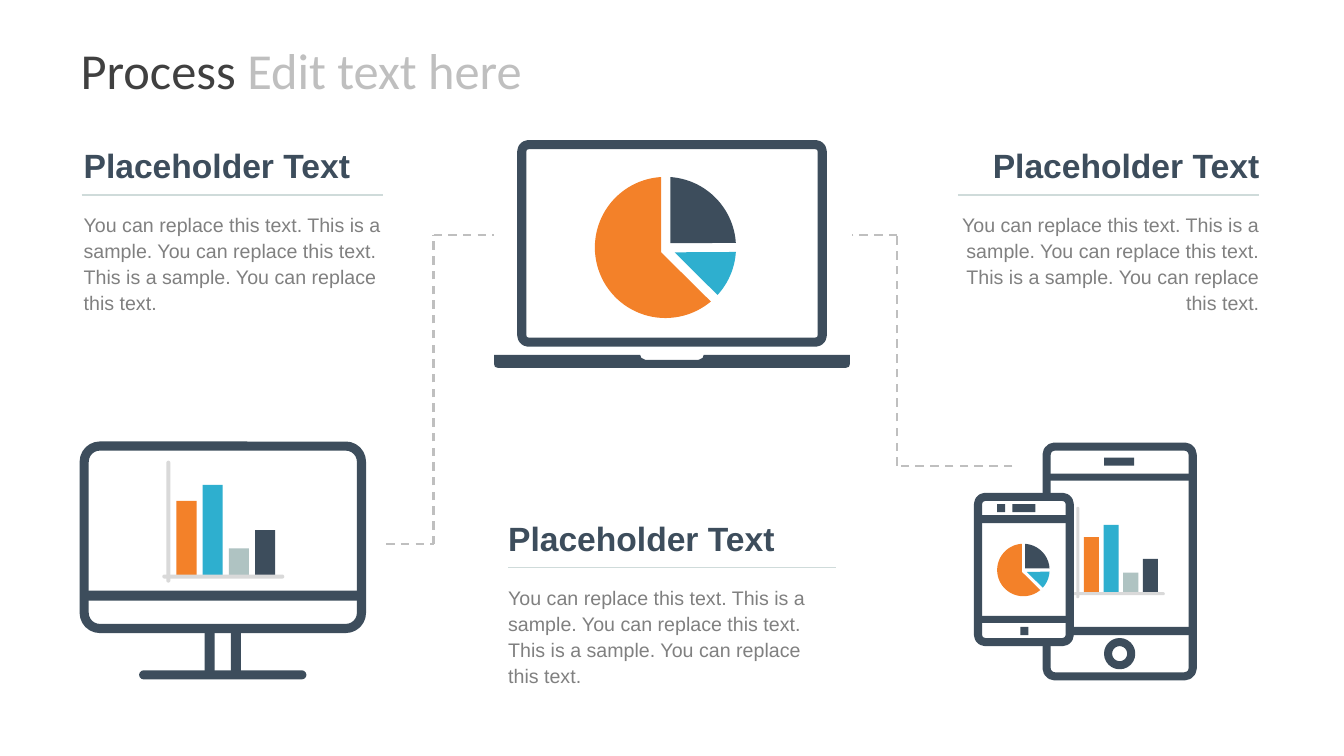
from itertools import pairwise
from math import cos, radians, sin

from lxml import etree
from pptx import Presentation
from pptx.dml.color import RGBColor
from pptx.enum.dml import MSO_LINE
from pptx.enum.shapes import MSO_CONNECTOR, MSO_SHAPE
from pptx.enum.text import MSO_ANCHOR, MSO_AUTO_SIZE, PP_ALIGN
from pptx.oxml.ns import qn
from pptx.util import Inches, Pt

RECTANGLE, ROUNDED, OVAL = MSO_SHAPE.RECTANGLE, MSO_SHAPE.ROUNDED_RECTANGLE, MSO_SHAPE.OVAL
STRAIGHT, DASH = MSO_CONNECTOR.STRAIGHT, MSO_LINE.DASH
LEFT, RIGHT = PP_ALIGN.LEFT, PP_ALIGN.RIGHT
TOP, MIDDLE = MSO_ANCHOR.TOP, MSO_ANCHOR.MIDDLE
NO_AUTOFIT = MSO_AUTO_SIZE.NONE

WHITE = RGBColor(0xFF, 0xFF, 0xFF)
SLATE = RGBColor(0x3D, 0x4D, 0x5C)
ORANGE = RGBColor(0xF3, 0x81, 0x29)
BLUE = RGBColor(0x2E, 0xAF, 0xCF)
SAGE = RGBColor(0xAF, 0xC3, 0xC2)
RULE = RGBColor(0xCF, 0xDB, 0xDA)
AXIS = RGBColor(0xD9, 0xD9, 0xD9)
SILVER = RGBColor(0xBF, 0xBF, 0xBF)
GREY = RGBColor(0x80, 0x80, 0x80)
CHARCOAL = RGBColor(0x40, 0x40, 0x40)

# Content
TITLE = [("Process ", CHARCOAL), ("Edit text here", SILVER)]
HEADING = "Placeholder Text"
BODY = ("You can replace this text. This is a sample. You can replace this text. "
        "This is a sample. You can replace this text.")
HEADING_FONT = {"size": Pt(24), "name": "Arial", "bold": True}
BODY_FONT = {"size": Pt(14), "name": "Arial"}

# Text blocks: left, top, width, rule left, rule width, alignment
TEXT_BLOCKS = [
    (0.83, 1.39, 3, 0.81, 2.99, LEFT),
    (5.04, 5.09, 3.26, 5.04, 3.25, LEFT),
    (9.49, 1.39, 3, 9.5, 2.99, RIGHT),
]
ROUTES = [
    [(3.83, 5.4), (4.3, 5.4), (4.3, 2.33), (4.9, 2.33)],
    [(10.04, 4.62), (8.9, 4.62), (8.9, 2.33), (8.45, 2.33)],
]

# Device frames: left, top, width, height, border, corner radius
MONITOR = (0.79, 4.38, 2.84, 1.9, 0.09, 0.2)
LAPTOP = (5.13, 1.39, 3.07, 2.05, 0.09, 0.11)
TABLET = (10.34, 4.39, 1.53, 2.36, 0.08, 0.12)
PHONE = (9.66, 4.89, 0.99, 1.52, 0.08, 0.11)

# Solid details of each device: left, top, width, height
MONITOR_PARTS = [(0.84, 5.86, 2.74, 0.1), (2.03, 6.24, 0.1, 0.44), (2.29, 6.24, 0.1, 0.44)]
MONITOR_FOOT = (1.38, 6.65, 1.66, 0.09)
TABLET_PARTS = [(10.38, 4.7, 1.45, 0.07), (10.38, 6.22, 1.45, 0.08), (10.95, 4.54, 0.3, 0.08)]
TABLET_BUTTON = (10.95, 6.33, 0.31, 0.31)
PHONE_PARTS = [(9.7, 5.11, 0.91, 0.08), (9.7, 6.11, 0.91, 0.07), (10.04, 5, 0.23, 0.08),
               (9.89, 5, 0.08, 0.08), (10.12, 6.22, 0.08, 0.08)]
LAPTOP_BASE = [(4.9, 3.52), (6.35, 3.52), (6.36, 3.55), (6.4, 3.57), (6.93, 3.57),
               (6.97, 3.55), (6.98, 3.52), (8.43, 3.52), (8.43, 3.61), (8.42, 3.64),
               (8.39, 3.65), (4.94, 3.65), (4.91, 3.64), (4.9, 3.61)]

# Bar icon: heights at full scale; pie icon: corner in radii, arc in degrees
BARS = [(0.75, ORANGE), (0.91, BLUE), (0.28, SAGE), (0.46, SLATE)]
WEDGES = [
    ((0.07, -0.06), 3.7, 86, SLATE),
    ((0.13, 0.07), -42.4, -3.7, BLUE),
    ((-0.06, 0.07), 93.5, 310, ORANGE),
]


def paint(shape, color):
    shape.shadow.inherit = False
    shape.fill.solid()
    shape.fill.fore_color.rgb = color
    shape.line.fill.background()
    return shape


def add_solid(kind, box, color=SLATE):
    return paint(slide.shapes.add_shape(kind, *map(Inches, box)), color)


def add_bar(box, color):
    add_solid(ROUNDED, box, color).adjustments[0] = 0.5


def add_outline(points, color):
    corners = [(Inches(x), Inches(y)) for x, y in points]
    builder = slide.shapes.build_freeform(*corners[0])
    builder.add_line_segments(corners[1:], close=True)
    paint(builder.convert_to_shape(), color)


def add_frame(left, top, width, height, border, radius=None):
    """Draw a white shape whose border lies inside the given box."""
    width, height = width - border, height - border
    box = (left + border / 2, top + border / 2, width, height)
    frame = add_solid(ROUNDED if radius else OVAL, box, WHITE)
    if radius:
        frame.adjustments[0] = (radius - border / 2) / min(width, height)
    frame.line.color.rgb = SLATE
    frame.line.width = Inches(border)


def add_line(start, end, color, width, dash=None):
    line = slide.shapes.add_connector(STRAIGHT, *map(Inches, (*start, *end)))
    line.line.color.rgb = color
    line.line.width = Pt(width)
    line.line.dash_style = dash
    etree.SubElement(line._element.spPr, qn("a:effectLst"))


def add_text(box, text, font, color, alignment, inset=0, spacing=1):
    frame = slide.shapes.add_textbox(*map(Inches, box)).text_frame
    settings = {"word_wrap": True, "auto_size": NO_AUTOFIT, "vertical_anchor": TOP,
                "margin_left": 0, "margin_right": 0,
                "margin_top": Inches(inset), "margin_bottom": Inches(inset)}
    for name, value in settings.items():
        setattr(frame, name, value)
    paragraph = frame.paragraphs[0]
    paragraph.text = text
    paragraph.alignment = alignment
    paragraph.line_spacing = spacing
    for name, value in font.items():
        setattr(paragraph.font, name, value)
    paragraph.font.color.rgb = color


def add_bar_icon(left, base, scale):
    for index, (height, color) in enumerate(BARS):
        box = (left + 0.26 * index * scale, base - height * scale, 0.2 * scale, height * scale)
        add_solid(RECTANGLE, box, color)
    length, thickness = 1.21 * scale, 0.04 * scale
    add_bar((left - 0.1 * scale, base - 1.15 * scale, thickness, length), AXIS)
    add_bar((left - 0.14 * scale, base - 0.02 * scale, length, thickness), AXIS)


def add_pie_icon(center_x, center_y, radius):
    steps = 60
    for corner, start, end, color in WEDGES:
        angles = [radians(start + (end - start) * step / steps) for step in range(steps + 1)]
        points = [corner] + [(cos(angle), -sin(angle)) for angle in angles]
        add_outline([(center_x + radius * x, center_y + radius * y) for x, y in points], color)


presentation = Presentation()
presentation.slide_width, presentation.slide_height = Inches(13.33), Inches(7.5)
slide = presentation.slides.add_slide(presentation.slide_layouts[5])

# Title
title = slide.shapes.title
title.left, title.top, title.width, title.height = map(Inches, (0.67, 0.3, 12, 0.78))
title_settings = {"auto_size": NO_AUTOFIT, "vertical_anchor": MIDDLE,
                  "margin_left": Inches(0.13), "margin_right": Inches(0.13),
                  "margin_top": Inches(0.07), "margin_bottom": Inches(0.07)}
for name, value in title_settings.items():
    setattr(title.text_frame, name, value)
title_paragraph = title.text_frame.paragraphs[0]
title_paragraph.alignment = LEFT
for text, color in TITLE:
    run = title_paragraph.add_run()
    run.text = text
    run.font.size, run.font.name = Pt(36), "Calibri"
    run.font.color.rgb = color

# Dashed routes between devices
for route in ROUTES:
    for start, end in pairwise(route):
        add_line(start, end, SILVER, 1.5, DASH)

# Laptop
add_frame(*LAPTOP)
add_outline(LAPTOP_BASE, SLATE)
add_pie_icon(6.6, 2.455, 0.7)

# Monitor
add_frame(*MONITOR)
for part in MONITOR_PARTS:
    add_solid(RECTANGLE, part)
add_bar(MONITOR_FOOT, SLATE)
add_bar_icon(1.75, 5.72, 1)

# Tablet, with the phone in front of it
add_frame(*TABLET)
add_frame(*TABLET_BUTTON, 0.08)
add_bar_icon(10.75, 5.89, 0.75)
for frame, parts in [(None, TABLET_PARTS), (PHONE, PHONE_PARTS)]:
    if frame:
        add_frame(*frame)
    for part in parts:
        add_solid(RECTANGLE, part)
add_pie_icon(10.15, 5.655, 0.26)

# Text blocks
for left, top, width, rule_left, rule_width, alignment in TEXT_BLOCKS:
    add_text((left, top + 0.7, width, 1.02), BODY, BODY_FONT, GREY, alignment, spacing=1.1)
    add_text((left, top, width, 0.5), HEADING, HEADING_FONT, SLATE, alignment, inset=0.05)
    rule_top = top + 0.545
    add_line((rule_left, rule_top), (rule_left + rule_width, rule_top), RULE, 0.75)

presentation.save("out.pptx")
